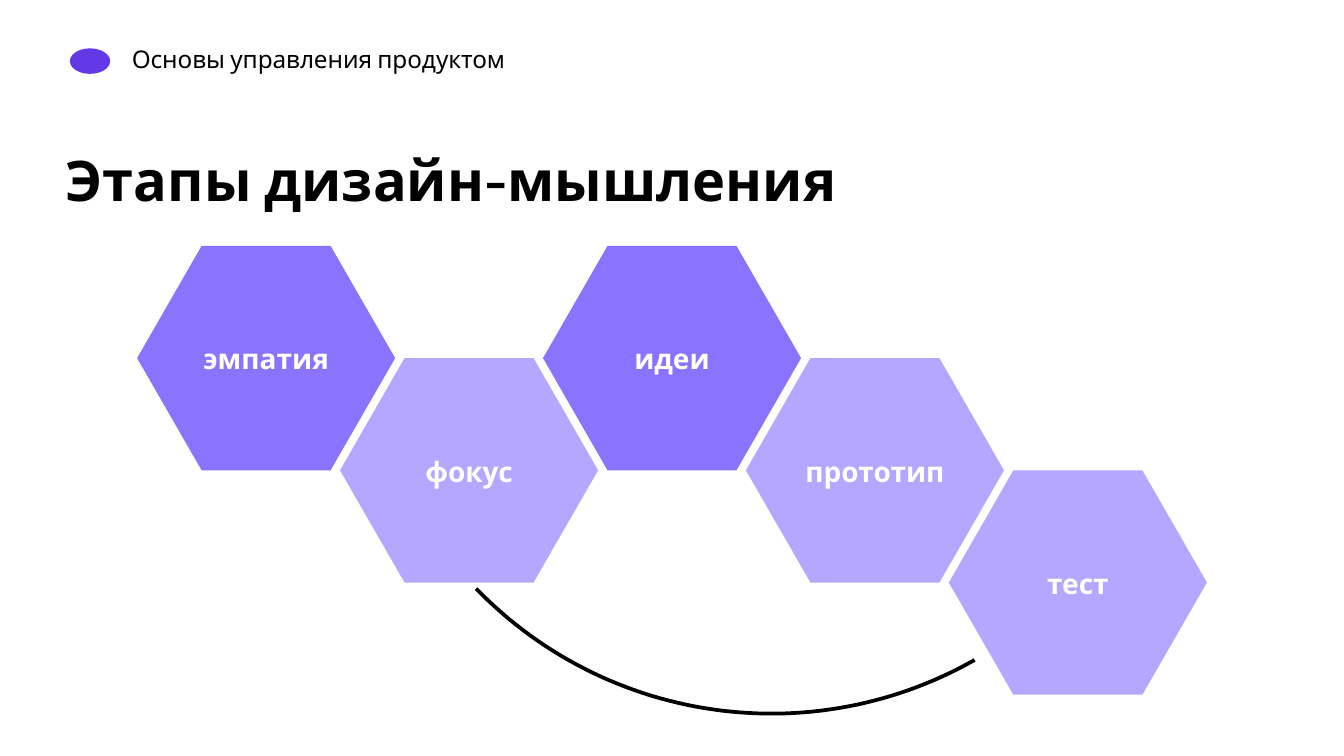
from math import cos, radians, sin

from pptx import Presentation
from pptx.dml.color import RGBColor
from pptx.enum.shapes import MSO_SHAPE
from pptx.enum.text import MSO_ANCHOR, PP_ALIGN
from pptx.util import Inches, Pt

HEXAGON, OVAL = MSO_SHAPE.HEXAGON, MSO_SHAPE.OVAL
TOP, MIDDLE = MSO_ANCHOR.TOP, MSO_ANCHOR.MIDDLE
LEFT, CENTER = PP_ALIGN.LEFT, PP_ALIGN.CENTER

BLACK = RGBColor(0x00, 0x00, 0x00)
WHITE = RGBColor(0xFF, 0xFF, 0xFF)
INDIGO = RGBColor(0x63, 0x39, 0xE6)
VIOLET = RGBColor(0x89, 0x73, 0xFF)
LAVENDER = RGBColor(0xB5, 0xA6, 0xFF)

FONT = "Cabin"
HEADER_FONT = {"name": FONT, "size": Pt(13), "bold": False}
TITLE_FONT = {"name": FONT, "size": Pt(30), "bold": True}
STAGE_FONT = {"name": FONT, "size": Pt(15), "bold": True}

# Stage name, row in the honeycomb, colour
STAGES = [
    ("эмпатия", 0, VIOLET),
    ("фокус", 1, LAVENDER),
    ("идеи", 0, VIOLET),
    ("прототип", 1, LAVENDER),
    ("тест", 2, LAVENDER),
]
HEX_WIDTH, HEX_HEIGHT = 1.92, 1.67
FIRST_LEFT, FIRST_TOP = 1.02, 1.83
COLUMN_STEP = 1.51


def write_text(shape, text, font_format, color, align=LEFT, anchor=TOP,
               spacing=1.0, insets=(0, 0.01, 0, 0), wrap=True):
    frame = shape.text_frame
    left, top, right, bottom = map(Inches, insets)
    frame_format = {
        "margin_left": left, "margin_top": top,
        "margin_right": right, "margin_bottom": bottom,
        "vertical_anchor": anchor, "word_wrap": wrap,
    }
    for name, value in frame_format.items():
        setattr(frame, name, value)
    paragraph = frame.paragraphs[0]
    paragraph.alignment = align
    paragraph.line_spacing = spacing
    run = paragraph.add_run()
    run.text = text
    for name, value in font_format.items():
        setattr(run.font, name, value)
    run.font.color.rgb = color


def add_text(slide, box, text, font_format, **layout):
    textbox = slide.shapes.add_textbox(*map(Inches, box))
    write_text(textbox, text, font_format, BLACK, **layout)


def add_filled(slide, preset, box, color):
    shape = slide.shapes.add_shape(preset, *map(Inches, box))
    shape.shadow.inherit = False
    shape.fill.solid()
    shape.fill.fore_color.rgb = color
    shape.line.fill.background()
    return shape


def add_stage(slide, column, name, row, color):
    left = FIRST_LEFT + column * COLUMN_STEP
    top = FIRST_TOP + row * HEX_HEIGHT / 2
    stage = add_filled(slide, HEXAGON, (left, top, HEX_WIDTH, HEX_HEIGHT), color)
    # The slanted sides take a quarter of the width each
    stage.adjustments[0] = HEX_WIDTH / 4 / HEX_HEIGHT
    write_text(stage, name, STAGE_FONT, WHITE, align=CENTER, anchor=MIDDLE,
               spacing=1.15, insets=(0, 0, 0, 0.03), wrap=False)


def add_arc(slide, center_x, center_y, radius, start, end, steps=60):
    angles = [radians(start + (end - start) * i / steps) for i in range(steps + 1)]
    points = [(Inches(center_x + radius * cos(a)), Inches(center_y + radius * sin(a)))
              for a in angles]
    builder = slide.shapes.build_freeform(*points[0])
    builder.add_line_segments(points[1:], close=False)
    arc = builder.convert_to_shape()
    arc.shadow.inherit = False
    arc.fill.background()
    arc.line.color.rgb = BLACK
    arc.line.width = Pt(2)


def main():
    presentation = Presentation()
    # Widescreen, 16:9
    presentation.slide_width = Inches(10)
    presentation.slide_height = Inches(10 * 9 / 16)
    slide = presentation.slides.add_slide(presentation.slide_layouts[6])

    # Header mark and course name
    add_filled(slide, OVAL, (0.52, 0.36, 0.3, 0.19), INDIGO)
    add_text(slide, (0.94, 0.29, 5.91, 0.25), "Основы управления продуктом",
             HEADER_FONT, spacing=1.01, insets=(0.04, 0.04, 0.04, 0.04))

    # Title
    add_text(slide, (0.49, 1.07, 6.65, 0.49), "Этапы дизайн-мышления", TITLE_FONT)

    # Honeycomb of stages
    for column, stage in enumerate(STAGES):
        add_stage(slide, column, *stage)

    # Arc between focus and test
    add_arc(slide, 5.74, 2.25, 3.06, 60.4, 135.9)

    presentation.save("out.pptx")


if __name__ == "__main__":
    main()
